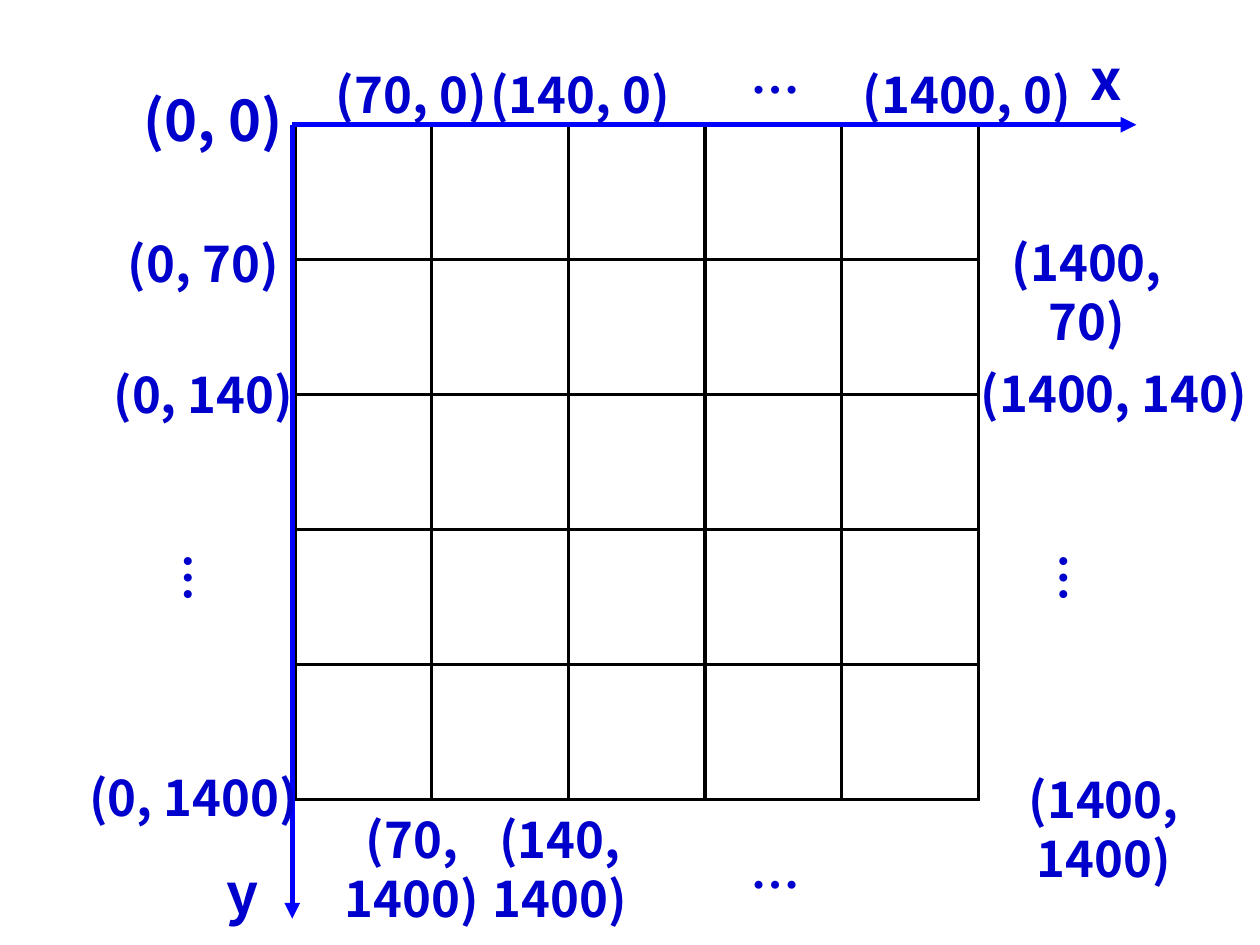
from dataclasses import dataclass

from lxml import etree
from pptx import Presentation
from pptx import util as u
from pptx.dml.color import RGBColor
from pptx.enum import shapes, text
from pptx.oxml.ns import qn


@dataclass(frozen=True)
class Theme:
    label_color: str = "0000CC"
    axis_color: str = "0000FF"
    grid_color: str = "000000"
    label_font: str = "Noto Sans CJK JP"
    dots_font: str = "Times New Roman"
    axis_size: float = 32
    label_size: float = 28
    axis_width: float = 3
    grid_width: float = 2.25
    line_spacing: float = 1.2


class GridSlide:
    def __init__(self, slide, theme):
        self.slide = slide
        self.theme = theme

    def grid(self, left, top, count, cell_width, cell_height):
        table = self.slide.shapes.add_table(
            count, count, u.Pt(left), u.Pt(top),
            u.Pt(count * cell_width), u.Pt(count * cell_height)).table
        table.first_row = table.horz_banding = False
        for column in table.columns:
            column.width = u.Pt(cell_width)
        for row in table.rows:
            row.height = u.Pt(cell_height)
        for cell in table.iter_cells():
            self.cell_borders(cell)
            cell.fill.background()

    def cell_borders(self, cell):
        properties = cell._tc.get_or_add_tcPr()
        for side in ("a:lnL", "a:lnR", "a:lnT", "a:lnB"):
            border = etree.SubElement(
                properties, qn(side), w=str(u.Pt(self.theme.grid_width)))
            fill = etree.SubElement(border, qn("a:solidFill"))
            etree.SubElement(fill, qn("a:srgbClr"), val=self.theme.grid_color)

    def axis(self, start, end):
        connector = self.slide.shapes.add_connector(
            shapes.MSO_CONNECTOR.STRAIGHT, *map(u.Pt, start + end))
        connector.line.color.rgb = RGBColor.from_string(self.theme.axis_color)
        connector.line.width = u.Pt(self.theme.axis_width)
        etree.SubElement(connector.line._get_or_add_ln(), qn("a:tailEnd"), type="triangle")
        etree.SubElement(connector._element.spPr, qn("a:effectLst"))

    def label(self, words, left, top, width, size=None, font=None, lines=1, rotation=0):
        size = size or self.theme.label_size
        line_height = size * self.theme.line_spacing
        box = self.slide.shapes.add_textbox(
            u.Pt(left), u.Pt(top), u.Pt(width), u.Pt(lines * line_height + 7.2))
        box.rotation = rotation
        frame = box.text_frame
        frame.word_wrap = True
        frame.auto_size = text.MSO_AUTO_SIZE.SHAPE_TO_FIT_TEXT
        frame.margin_top, frame.margin_bottom = u.Pt(5.4), u.Pt(1.8)
        paragraph = frame.paragraphs[0]
        paragraph.alignment = text.PP_ALIGN.CENTER
        paragraph.line_spacing = u.Pt(line_height)
        run = paragraph.add_run()
        run.text = words
        run.font.name = font or self.theme.label_font
        run.font.size = u.Pt(size)
        run.font.bold = True
        run.font.color.rgb = RGBColor.from_string(self.theme.label_color)

    def dots(self, left, top, rotation=0):
        self.label("…", left, top, 136, font=self.theme.dots_font, rotation=rotation)


def main():
    presentation = Presentation()
    presentation.slide_width, presentation.slide_height = u.Pt(720), u.Pt(540)
    theme = Theme()
    slide = GridSlide(presentation.slides.add_slide(presentation.slide_layouts[6]), theme)

    slide.grid(168.5, 71.3, 5, 78.15, 77.15)
    origin = (167, 71.3)
    slide.axis(origin, (649.4, 71.3))
    slide.axis(origin, (167, 525))

    for words, left, top in (("(0, 0)", 70.6, 43.2), ("x", 581, 20.2), ("y", 87.8, 485.3)):
        slide.label(words, left, top, 102.2, size=theme.axis_size)

    for words, left in (("(70, 0)", 167), ("(140, 0)", 263.5), ("(1400, 0)", 484.6)):
        slide.label(words, left, 31.7, 136)
    for words, left, top in (("(0, 70)", 48.2, 128.2), ("(0, 140)", 48.2, 203),
                             ("(0, 1400)", 42.5, 433.4)):
        slide.label(words, left, top, 136)
    for words, left, top, width, lines in (("(1400, 70)", 553, 127.4, 136, 2),
                                           ("(1400, 140)", 553, 202.3, 167, 1),
                                           ("(1400, 1400)", 547.2, 434.2, 167, 2)):
        slide.label(words, left, top, width, lines=lines)
    for words, left, width in (("(70, 1400)", 184.3, 102.2), ("(140, 1400)", 263.5, 113)):
        slide.label(words, left, 457.2, width, lines=2)

    for left in (50.4, 550.8):
        slide.dots(left, 309.6, rotation=90)
    for top in (20.2, 474.5):
        slide.dots(375, top)

    presentation.save("out.pptx")


if __name__ == "__main__":
    main()
